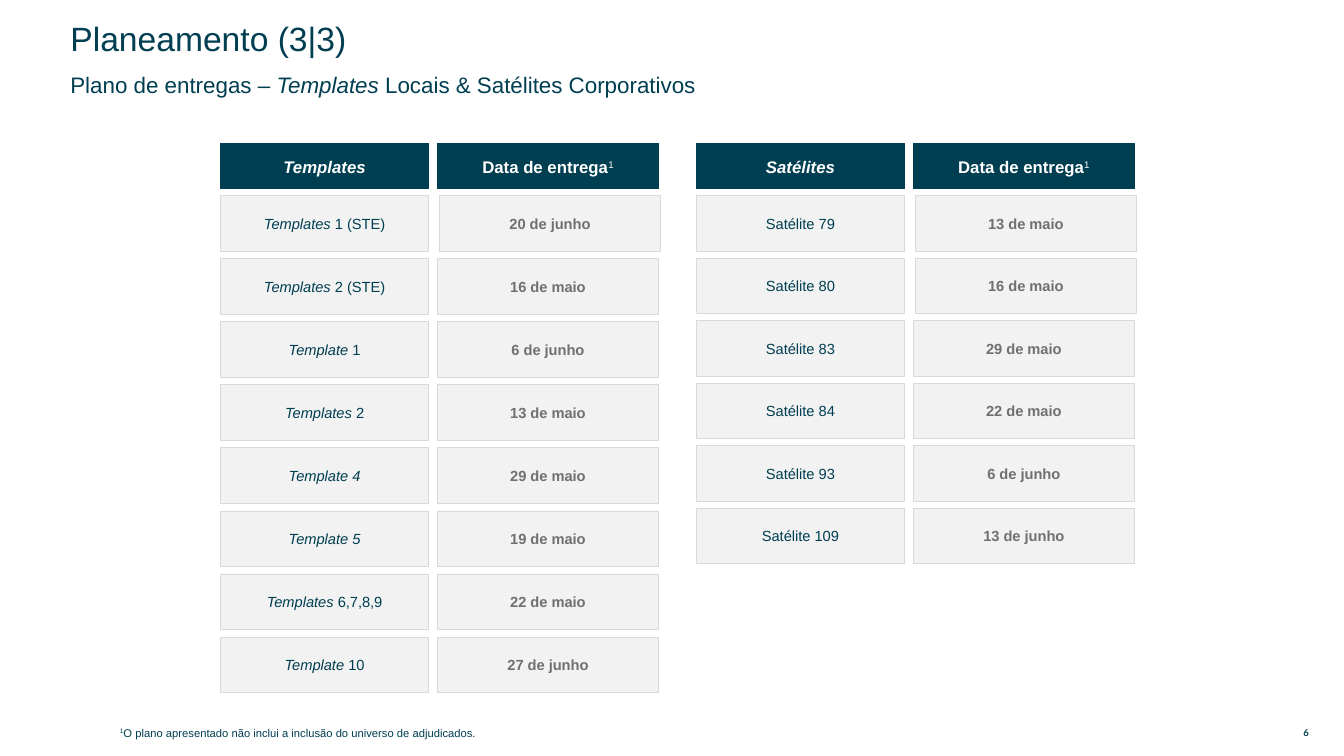
import pptx
import pptx.util
from pptx.dml.color import RGBColor
from pptx.enum.shapes import MSO_SHAPE
from pptx.enum.text import MSO_ANCHOR, PP_ALIGN
from pptx.util import Inches, Pt

TEAL = RGBColor(0x00, 0x3E, 0x51)
GREY = RGBColor(0x70, 0x70, 0x70)
PALE = RGBColor(0xF2, 0xF2, 0xF2)
BORDER = RGBColor(0xD9, 0xD9, 0xD9)
WHITE = RGBColor(0xFF, 0xFF, 0xFF)

# Table layout, in inches
HEADER_TOP, HEADER_HEIGHT = 1.42, 0.45
FIRST_ROW_TOP, ROW_HEIGHT = 1.94, 0.55
NAME_WIDTH, DATE_WIDTH, DATE_OFFSET = 2.06, 2.19, 2.15
DATE_SHIFT = 0.02

# Each text is a list of (words, style) runs: "" plain, "i" italic, "sup" superscript
DATE_HEADER = [("Data de entrega", ""), ("1", "sup")]

TEMPLATES = [
    ([("Templates ", "i"), ("1 (STE)", "")], "20 de junho"),
    ([("Templates ", "i"), ("2 (STE)", "")], "16 de maio"),
    ([("Template ", "i"), ("1", "")], "6 de junho"),
    ([("Templates ", "i"), ("2", "")], "13 de maio"),
    ([("Template 4", "i")], "29 de maio"),
    ([("Template 5", "i")], "19 de maio"),
    ([("Templates", "i"), (" 6,7,8,9", "")], "22 de maio"),
    ([("Template ", "i"), ("10", "")], "27 de junho"),
]

SATELLITES = [
    ([("Satélite 79", "")], "13 de maio"),
    ([("Satélite 80", "")], "16 de maio"),
    ([("Satélite 83", "")], "29 de maio"),
    ([("Satélite 84", "")], "22 de maio"),
    ([("Satélite 93", "")], "6 de junho"),
    ([("Satélite 109", "")], "13 de junho"),
]


def write(tf, runs, size, color, bold=False, font="Arial", spacing=None,
          align=PP_ALIGN.LEFT):
    """Fill the first paragraph of a text frame with styled runs."""
    tf.word_wrap = True
    p = tf.paragraphs[0]
    p.alignment = align
    if spacing:
        p.line_spacing = spacing
    p.font.name = font
    p.font.size = Pt(size)
    p.font.color.rgb = color
    p.font.bold = bold
    for words, style in runs:
        r = p.add_run()
        r.text = words
        if style == "i":
            r.font.italic = True
        elif style == "sup":
            r.font.bold = False
            r._r.get_or_add_rPr().set("baseline", "30000")


def set_margins(tf, side, vertical):
    tf.margin_left = tf.margin_right = Inches(side)
    tf.margin_top = tf.margin_bottom = Inches(vertical)


def add_text(slide, left, top, width, height, runs, size,
             anchor=MSO_ANCHOR.MIDDLE, **style):
    sp = slide.shapes.add_textbox(Inches(left), Inches(top),
                                  Inches(width), Inches(height))
    tf = sp.text_frame
    tf.vertical_anchor = anchor
    write(tf, runs, size, TEAL, **style)
    return tf


def add_box(slide, left, top, width, height, runs, size, color,
            fill=PALE, line=BORDER, line_width=0.5, side=0.04, **style):
    sp = slide.shapes.add_shape(MSO_SHAPE.RECTANGLE, Inches(left), Inches(top),
                                Inches(width), Inches(height))
    sp.shadow.inherit = False
    sp.fill.solid()
    sp.fill.fore_color.rgb = fill
    sp.line.color.rgb = line
    sp.line.width = Pt(line_width)
    tf = sp.text_frame
    tf.vertical_anchor = MSO_ANCHOR.MIDDLE
    set_margins(tf, side, 0.04)
    write(tf, runs, size, color, align=PP_ALIGN.CENTER, **style)


def add_header(slide, left, width, runs):
    add_box(slide, left, HEADER_TOP, width, HEADER_HEIGHT, runs, 12, WHITE,
            fill=TEAL, line=TEAL, line_width=0.75, bold=True, spacing=1.1)


def add_plan(slide, left, heading, rows, last_top, shifted):
    """Draw a two-column plan; the first `shifted` dates sit slightly right."""
    date_left = left + DATE_OFFSET
    add_header(slide, left, NAME_WIDTH, [(heading, "i")])
    add_header(slide, date_left, DATE_WIDTH, DATE_HEADER)
    pitch = (last_top - FIRST_ROW_TOP) / (len(rows) - 1)
    for i, (name, date) in enumerate(rows):
        top = FIRST_ROW_TOP + i * pitch
        shift = DATE_SHIFT if i < shifted else 0
        add_box(slide, left, top, NAME_WIDTH, ROW_HEIGHT, name, 10.5, TEAL)
        add_box(slide, date_left + shift, top, DATE_WIDTH, ROW_HEIGHT,
                [(date, "")], 10.5, GREY, side=0.12, bold=True)


def main():
    prs = pptx.Presentation()
    prs.slide_width, prs.slide_height = Inches(13.33), Inches(7.5)
    slide = prs.slides.add_slide(prs.slide_layouts[6])

    # Title and subtitle
    add_text(slide, 0.6, 0.27, 7.95, 0.26, [("Planeamento (3|3)", "")], 24,
             spacing=0.9)
    add_text(slide, 0.6, 0.73, 7.66, 0.26,
             [("Plano de entregas – ", ""), ("Templates", "i"),
              (" Locais & Satélites Corporativos", "")], 16, spacing=0.9)

    # Delivery plans
    add_plan(slide, 2.19, "Templates", TEMPLATES, last_top=6.32, shifted=1)
    add_plan(slide, 6.91, "Satélites", SATELLITES, last_top=5.04, shifted=2)

    # Footnote and page number
    add_text(slide, 1.09, 7.14, 10.81, 0.24,
             [("1", "sup"),
              ("O plano apresentado não inclui a inclusão do universo de "
               "adjudicados.", "")],
             8, anchor=MSO_ANCHOR.TOP, spacing=1.1)
    tf = add_text(slide, 12.73, 7.19, 0.45, 0.16, [("6", "")], 6.8,
                  font="Lato", bold=True, align=PP_ALIGN.CENTER)
    set_margins(tf, 0.06, 0.03)

    prs.save("out.pptx")


if __name__ == "__main__":
    main()
